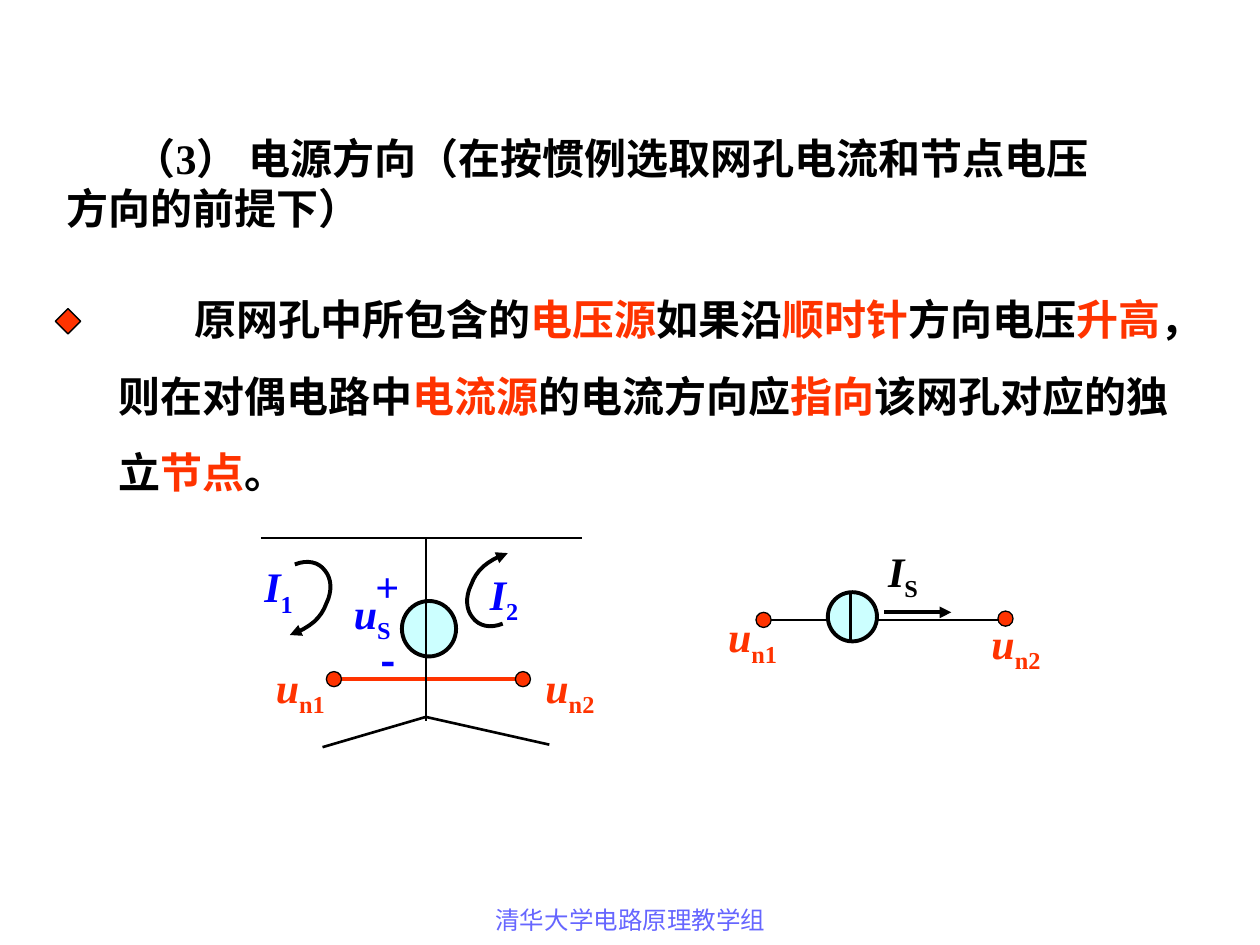
from dataclasses import dataclass

from pptx import Presentation
from pptx.dml.color import RGBColor
from pptx.enum.shapes import MSO_CONNECTOR, MSO_SHAPE
from pptx.enum.text import MSO_ANCHOR, MSO_AUTO_SIZE, PP_ALIGN
from pptx.oxml.ns import qn
from pptx.util import Inches, Pt

STRAIGHT = MSO_CONNECTOR.STRAIGHT
OVAL, DIAMOND = MSO_SHAPE.OVAL, MSO_SHAPE.DIAMOND
TOP, NO_FIT = MSO_ANCHOR.TOP, MSO_AUTO_SIZE.NONE
LEFT, CENTER = PP_ALIGN.LEFT, PP_ALIGN.CENTER


@dataclass(frozen=True)
class Theme:
    black: RGBColor = RGBColor(0x00, 0x00, 0x00)
    red: RGBColor = RGBColor(0xFF, 0x33, 0x00)
    blue: RGBColor = RGBColor(0x00, 0x00, 0xFF)
    source: RGBColor = RGBColor(0xCC, 0xFF, 0xFF)
    footer: RGBColor = RGBColor(0x66, 0x66, 0xFF)
    latin: str = "Times New Roman"
    chinese: str = "Noto Sans CJK SC"
    text_size: Pt = Pt(24)
    footer_size: Pt = Pt(14)
    thin: Pt = Pt(0.75)
    wire: Pt = Pt(1.5)
    thick: Pt = Pt(2.25)


theme = Theme()


def style_run(run, color, size=theme.text_size, bold=True, latin=theme.latin):
    run.font.size, run.font.bold, run.font.name = size, bold, latin
    run.font.color.rgb = color
    east_asian = run.font._element.makeelement(qn("a:ea"), {"typeface": theme.chinese})
    run.font._element.find(qn("a:latin")).addnext(east_asian)


def add_line(start, end, color=theme.black, width=theme.wire, arrow=False):
    line = slide.shapes.add_connector(
        STRAIGHT, Inches(start[0]), Inches(start[1]), Inches(end[0]), Inches(end[1]))
    line.line.color.rgb, line.line.width = color, width
    if arrow:
        outline = line.line._get_or_add_ln()
        outline.append(outline.makeelement(qn("a:tailEnd"), {"type": "triangle"}))
    properties = line._element.spPr
    properties.append(properties.makeelement(qn("a:effectLst"), {}))


prs = Presentation()
prs.slide_width, prs.slide_height = Inches(10), Inches(7.5)
slide = prs.slides.add_slide(prs.slide_layouts[1])

# Heading and rule; odd-numbered pieces of each line are highlighted
heading = [["（3） 电源方向（在按惯例选取网孔电流和节点电压方向的前提下）"]]
rule = [
    ["原网孔中所包含的", "电压源", "如果沿", "顺时针", "方向电压", "升高", "，"],
    ["则在对偶电路中", "电流源", "的电流方向应", "指向", "该网孔对应的独"],
    ["立", "节点", "。"],
]
for holder, lines, box, wrap, first_indent in [
    (slide.shapes.title, heading, (0.43, 1, 8.58, 0.9), True, 0.53),
    (slide.placeholders[1], rule, (0.84, 2.28, 8.95, 1.72), False, 0.6),
]:
    holder.left, holder.top, holder.width, holder.height = map(Inches, box)
    frame = holder.text_frame
    frame.word_wrap, frame.auto_size, frame.vertical_anchor = wrap, NO_FIT, TOP
    for number, pieces in enumerate(lines):
        paragraph = frame.add_paragraph() if number else frame.paragraphs[0]
        properties = paragraph._p.get_or_add_pPr()
        properties.set("marL", "0")
        properties.set("indent", "0" if number else str(Inches(first_indent)))
        properties.append(properties.makeelement(qn("a:buNone"), {}))
        paragraph.alignment = LEFT
        paragraph.space_before = Pt(15 if number else 0)
        for index, piece in enumerate(pieces):
            run = paragraph.add_run()
            run.text = piece
            style_run(run, theme.red if index % 2 else theme.black)

# Wires that run behind the symbols
add_line((6.11, 4.92), (7.92, 4.92))
add_line((2.07, 4.27), (4.62, 4.27))
add_line((2.71, 5.39), (4.09, 5.39), theme.red, theme.thick)

# Rule marker, sources and node dots
dot = 0.12
for kind, left, top, width, height, fill, outline in [
    (DIAMOND, 0.44, 2.45, 0.2, 0.2, theme.red, theme.thin),
    (OVAL, 6.57, 4.7, 0.39, 0.39, theme.source, theme.thick),
    (OVAL, 3.19, 4.77, 0.43, 0.44, theme.source, theme.thick),
    (OVAL, 6, 4.86, dot, dot, theme.red, theme.thin),
    (OVAL, 7.92, 4.85, dot, dot, theme.red, theme.thin),
    (OVAL, 2.59, 5.33, dot, dot, theme.red, theme.thin),
    (OVAL, 4.09, 5.33, dot, dot, theme.red, theme.thin),
]:
    symbol = slide.shapes.add_shape(
        kind, Inches(left), Inches(top), Inches(width), Inches(height))
    symbol.shadow.inherit = False
    symbol.fill.solid()
    symbol.fill.fore_color.rgb = fill
    symbol.line.color.rgb, symbol.line.width = theme.black, outline

# Lines across the sources, mesh branches and current direction
add_line((6.75, 4.7), (6.75, 5.09), width=theme.thick)
add_line((3.38, 4.27), (3.38, 5.72))
add_line((3.38, 5.69), (2.56, 5.93))
add_line((3.38, 5.69), (4.36, 5.91))
add_line((7.02, 4.86), (7.55, 4.86), width=theme.thick, arrow=True)

# Mesh current arrows: the right one is the left one turned by half a circle
left_mesh = [(2.34, 4.48), (2.44, 4.44), (2.53, 4.46), (2.58, 4.53), (2.63, 4.59),
             (2.64, 4.69), (2.59, 4.79), (2.55, 4.9), (2.47, 4.98), (2.3, 5.04)]
right_mesh = [(6.33 - x, 9.43 - y) for x, y in left_mesh]
steps = 8
for controls in (left_mesh, right_mesh):
    curve = [tuple(map(Inches, controls[0]))]
    for first in range(0, len(controls) - 1, 3):
        a, b, c, d = controls[first:first + 4]
        for step in range(1, steps + 1):
            t = step / steps
            curve.append(tuple(
                Inches((1 - t) ** 3 * a[i] + 3 * (1 - t) ** 2 * t * b[i]
                       + 3 * (1 - t) * t ** 2 * c[i] + t ** 3 * d[i]) for i in (0, 1)))
    builder = slide.shapes.build_freeform(*curve[0])
    builder.add_line_segments(curve[1:], close=False)
    mesh_current = builder.convert_to_shape()
    mesh_current.shadow.inherit = False
    mesh_current.fill.background()
    mesh_current.line.color.rgb, mesh_current.line.width = theme.black, theme.thick
    outline = mesh_current.line._get_or_add_ln()
    outline.append(outline.makeelement(qn("a:tailEnd"), {"type": "triangle"}))

# Circuit labels: quantity in italics with an upright subscript
for quantity, subscript, left, top, width, color in [
    ("u", "n1", 5.68, 4.8, 0.65, theme.red),
    ("u", "n2", 7.77, 4.85, 0.65, theme.red),
    ("I", "S", 6.95, 4.28, 0.5, theme.black),
    ("+", "", 2.88, 4.4, 0.42, theme.blue),
    ("-", "", 2.92, 4.99, 0.35, theme.blue),
    ("u", "S", 2.71, 4.61, 0.65, theme.blue),
    ("I", "1", 2, 4.4, 0.5, theme.blue),
    ("I", "2", 3.79, 4.46, 0.5, theme.blue),
    ("u", "n1", 2.09, 5.2, 0.65, theme.red),
    ("u", "n2", 4.23, 5.2, 0.65, theme.red),
]:
    label = slide.shapes.add_textbox(
        Inches(left), Inches(top), Inches(width), Inches(0.56))
    label.text_frame.word_wrap = True
    paragraph = label.text_frame.paragraphs[0]
    run = paragraph.add_run()
    run.text = quantity
    style_run(run, color, latin=theme.chinese if quantity == "-" else theme.latin)
    if subscript:
        run.font.italic = True
        run = paragraph.add_run()
        run.text = subscript
        style_run(run, color)
        run.font._element.set("baseline", "-25000")

footer = slide.shapes.add_textbox(Inches(3.42), Inches(7.13), Inches(3.17), Inches(0.37))
footer.text_frame.word_wrap = True
footer.text_frame.text = "清华大学电路原理教学组"
footer.text_frame.paragraphs[0].alignment = CENTER
style_run(footer.text_frame.paragraphs[0].runs[0], theme.footer, theme.footer_size, False)

prs.save("out.pptx")
